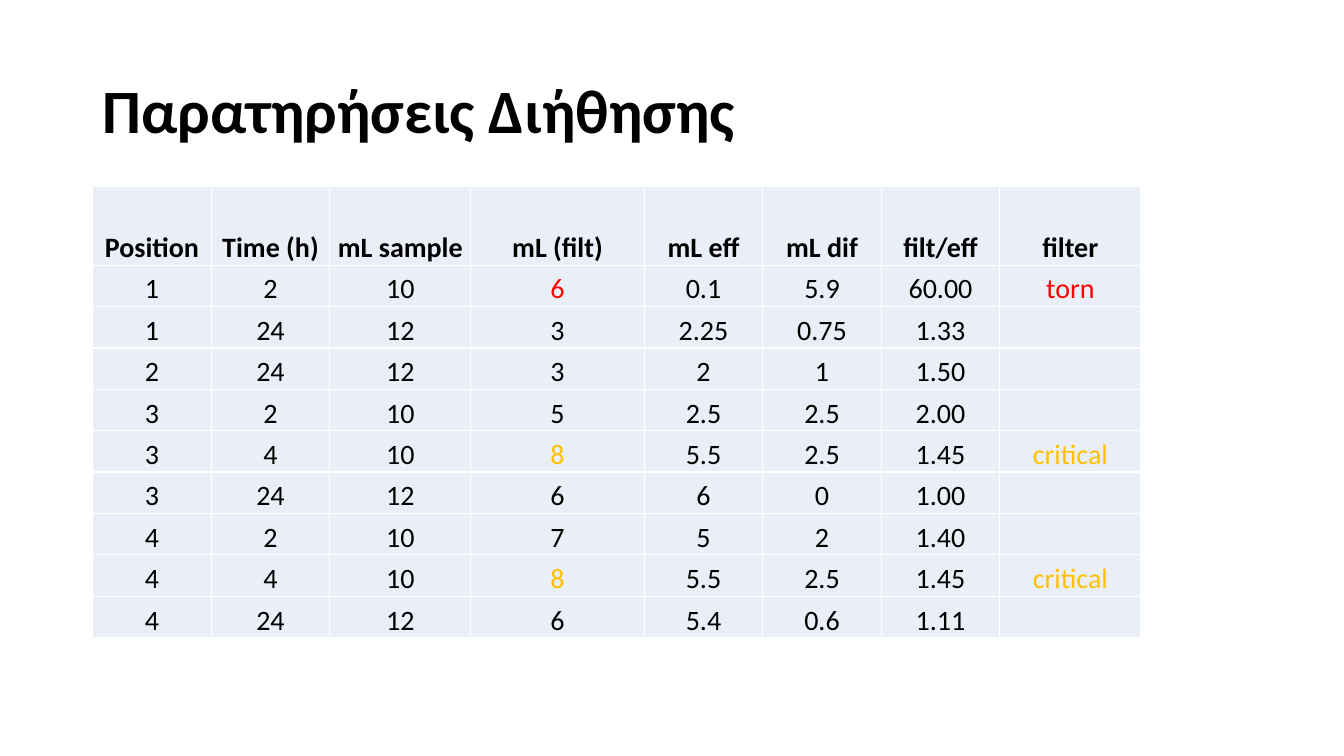
from lxml import etree
from pptx import Presentation, util as u
from pptx.dml.color import RGBColor
from pptx.enum import text
from pptx.oxml import ns

COLORS = {"ink": "000000", "cell": "EAEFF7", "rule": "FFFFFF",
          "torn": "FF0000", "critical": "FFC000"}


def write(frame, words, size=20, color="ink", bold=False, font="Calibri",
          align=text.PP_ALIGN.CENTER, spacing=1.0):
    """Write one formatted paragraph into a text frame."""
    paragraph = frame.paragraphs[0]
    paragraph.alignment, paragraph.line_spacing = align, spacing
    paragraph.font.size = u.Pt(size)
    if words:
        run = paragraph.add_run()
        run.text = words
        run.font.name, run.font.size, run.font.bold = font, u.Pt(size), bold
        run.font.color.rgb = RGBColor.from_string(COLORS[color])


class Deck:
    """Hold the style and current slide; lengths are percent of slide size."""

    def __init__(self, width, height):
        self.deck = Presentation()
        self.deck.slide_width, self.deck.slide_height = u.Inches(width), u.Inches(height)
        self.slide = self.deck.slides.add_slide(self.deck.slide_layouts[5])

    def x(self, share):
        return round(self.deck.slide_width * share / 100)

    def y(self, share):
        return round(self.deck.slide_height * share / 100)

    def title(self, words, left, top, width, height):
        heading = self.slide.shapes.title
        heading.left, heading.top = self.x(left), self.y(top)
        heading.width, heading.height = self.x(width), self.y(height)
        heading.text_frame.word_wrap = True
        heading.text_frame.vertical_anchor = text.MSO_ANCHOR.MIDDLE
        write(heading.text_frame, words, size=44, bold=True,
              align=text.PP_ALIGN.LEFT, spacing=0.9)

    def borders(self, cell):
        for side in ("lnL", "lnR", "lnT", "lnB"):
            line = etree.SubElement(cell._tc.get_or_add_tcPr(), ns.qn(f"a:{side}"),
                                    w=str(u.Pt(1)))
            fill = etree.SubElement(line, ns.qn("a:solidFill"))
            etree.SubElement(fill, ns.qn("a:srgbClr"), val=COLORS["rule"])

    def cell(self, cell, words, **style):
        self.borders(cell)
        cell.fill.solid()
        cell.fill.fore_color.rgb = RGBColor.from_string(COLORS["cell"])
        cell.margin_left = cell.margin_right = cell.margin_top = u.Inches(0.01)
        cell.margin_bottom = 0
        cell.vertical_anchor = text.MSO_ANCHOR.BOTTOM
        write(cell.text_frame, words, **style)

    def table(self, records, left, top, widths, heights, marked):
        grid = self.slide.shapes.add_table(
            len(records), len(widths), self.x(left), self.y(top),
            self.x(sum(widths)), self.y(sum(heights))).table
        grid.first_row = grid.horz_banding = False
        for column, width in zip(grid.columns, widths):
            column.width = self.x(width)
        for row, height in zip(grid.rows, heights):
            row.height = self.y(height)
        for r, record in enumerate(records):
            status = record[-1]
            for c, words in enumerate(record):
                flagged = status in COLORS and c in marked
                self.cell(grid.cell(r, c), words, bold=r == 0,
                          color=status if flagged else "ink")


HEADINGS = ["Position", "Time (h)", "mL sample", "mL (filt)",
            "mL eff", "mL dif", "filt/eff", "filter"]
FILTRATIONS = [
    ["1", "2", "10", "6", "0.1", "5.9", "60.00", "torn"],
    ["1", "24", "12", "3", "2.25", "0.75", "1.33", ""],
    ["2", "24", "12", "3", "2", "1", "1.50", ""],
    ["3", "2", "10", "5", "2.5", "2.5", "2.00", ""],
    ["3", "4", "10", "8", "5.5", "2.5", "1.45", "critical"],
    ["3", "24", "12", "6", "6", "0", "1.00", ""],
    ["4", "2", "10", "7", "5", "2", "1.40", ""],
    ["4", "4", "10", "8", "5.5", "2.5", "1.45", "critical"],
    ["4", "24", "12", "6", "5.4", "0.6", "1.11", ""],
]
NARROW, MEDIUM, WIDE = 8.82, 10.5, 12.9

observations = Deck(13.33, 7.5)
observations.title("Παρατηρήσεις Διήθησης", 6.9, 5.33, 86.25, 19.33)
observations.table(
    [HEADINGS] + FILTRATIONS, 6.9, 24.67,
    widths=[NARROW, NARROW, MEDIUM, WIDE, NARROW, NARROW, NARROW, MEDIUM],
    heights=[10.4] + [5.48] * len(FILTRATIONS),
    marked=(HEADINGS.index("mL (filt)"), HEADINGS.index("filter")))
observations.deck.save("out.pptx")
